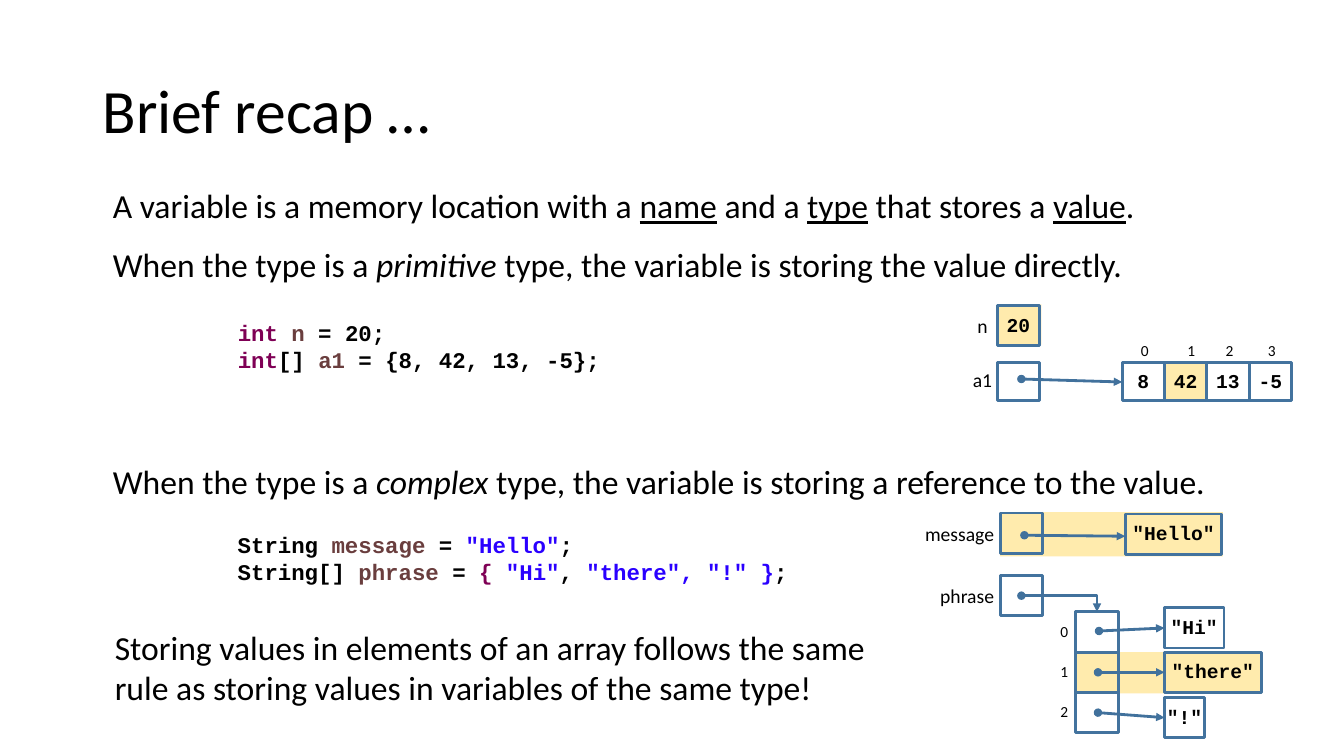
import pptx
import pptx.dml.color
import pptx.enum.shapes
import pptx.enum.text
import pptx.oxml
import pptx.oxml.ns
import pptx.util
from pptx.util import Inches

BLACK = "000000"
KEYWORD = "7F0055"
VARIABLE = "6A3E3E"
STRING = "2A00FF"
HIGHLIGHT = "FFE699"
OUTLINE = "43739E"
ARROW = "41719C"
CODE_FONT = "Courier New"
LEFT = pptx.enum.text.PP_ALIGN.LEFT
CENTER = pptx.enum.text.PP_ALIGN.CENTER
RIGHT = pptx.enum.text.PP_ALIGN.RIGHT
hex_color = pptx.dml.color.RGBColor.from_string

presentation = pptx.Presentation()
presentation.slide_width = Inches(13.33)
presentation.slide_height = Inches(7.5)
slide = presentation.slides.add_slide(presentation.slide_layouts[5])


def add_text(text, left, top, width, height, shape=None, size=24, font="Calibri",
             bold=False, align=LEFT, margin=None, wrap=True):
    """Write text, a string or a list of paragraphs made of (text, style) runs."""
    if shape is None:
        shape = slide.shapes.add_textbox(0, 0, 0, 0)
    shape.left, shape.top = Inches(left), Inches(top)
    shape.width, shape.height = Inches(width), Inches(height)
    frame = shape.text_frame
    frame.word_wrap = wrap
    if margin is not None:
        frame.margin_left = frame.margin_right = Inches(margin)
        frame.margin_top = frame.margin_bottom = Inches(margin)
    paragraphs = [[(text, {})]] if isinstance(text, str) else text
    for index, runs in enumerate(paragraphs):
        paragraph = frame.add_paragraph() if index else frame.paragraphs[0]
        paragraph.alignment = align
        for run_text, style in runs:
            run = paragraph.add_run()
            run.text = run_text
            run.font.size = pptx.util.Pt(size)
            run.font.name = font
            run.font.bold = bold
            run.font.italic = style.get("italic")
            run.font.underline = style.get("underline")
            run.font.color.rgb = hex_color(style.get("color", BLACK))
    return shape


def add_box(left, top, width, height, fill=None, line=None):
    box = slide.shapes.add_shape(pptx.enum.shapes.MSO_SHAPE.RECTANGLE, Inches(left),
                                 Inches(top), Inches(width), Inches(height))
    box.shadow.inherit = False
    if fill:
        box.fill.solid()
        box.fill.fore_color.rgb = hex_color(fill)
        color = box.fill._xPr.find(".//" + pptx.oxml.ns.qn("a:srgbClr"))
        color.append(pptx.oxml.parse_xml(
            f'<a:alpha {pptx.oxml.ns.nsdecls("a")} val="80000"/>'))
    else:
        box.fill.background()
    if line:
        box.line.color.rgb = hex_color(line)
        box.line.width = pptx.util.Pt(2)
    else:
        box.line.fill.background()


# Highlights lie behind everything else
for highlight in [(10.66, 6.47, 1.86, 0.41), (9.91, 3.02, 0.42, 0.4),
                  (11.56, 3.6, 0.42, 0.37), (9.92, 5.08, 2.21, 0.44)]:
    add_box(*highlight, fill=HIGHLIGHT)

# Title and sentences
title = add_text("Brief recap …", 0.92, 0.4, 11.5, 1.45, shape=slide.shapes.title, size=44)
title.text_frame.vertical_anchor = pptx.enum.text.MSO_ANCHOR.MIDDLE
title.text_frame.paragraphs[0].line_spacing = 0.9

underlined = {"underline": True}
italic = {"italic": True}
add_text([[("A variable is a memory location with a ", {}), ("name", underlined),
           (" and a ", {}), ("type", underlined), (" that stores a ", {}),
           ("value", underlined), (".", {})]], 1.02, 1.79, 11.59, 0.5)
for top, kind, ending in [
        (2.37, "primitive", " type, the variable is storing the value directly."),
        (4.52, "complex", " type, the variable is storing a reference to the value.")]:
    add_text([[("When the type is a ", {}), (kind, italic), (ending, {})]],
             1.02, top, 11.59, 0.5)
add_text("Storing values in elements of an array follows the same rule as storing "
         "values in variables of the same type!", 1.04, 6.17, 7.88, 0.91)

# Code
keyword, variable, string = ({"color": color} for color in (KEYWORD, VARIABLE, STRING))
primitive_code = [
    [("int ", keyword), ("n", variable), (" = 20;", {})],
    [("int", keyword), ("[] ", {}), ("a1", variable), (" = {8, 42, 13, -5};", {})],
]
complex_code = [
    [("String ", {}), ("message", variable), (" = ", {}), ('"Hello"', string), (";", {})],
    [("String[] ", {}), ("phrase", variable), (" = ", {}), ("{ ", keyword),
     ('"Hi"', string), (", ", {}), ('"there", "!" }', string), (";", {})],
]
add_text(primitive_code, 2.26, 3.12, 4.78, 0.64, size=16, font=CODE_FONT, bold=True)
add_text(complex_code, 2.26, 5.22, 6.2, 0.64, size=16, font=CODE_FONT, bold=True)

# Memory cells with their values; cells without a value hold a reference
cells = [
    (9.89, 3.03, 0.42, 0.4, "20"),
    (9.89, 3.6, 0.42, 0.37, ""),
    (9.92, 5.09, 0.42, 0.4, ""),
    (9.92, 5.71, 0.42, 0.4, ""),
    (11.16, 5.1, 0.96, 0.4, '"Hello"'),
    (11.55, 6.03, 0.59, 0.4, '"Hi"'),
    (11.55, 6.47, 0.96, 0.4, '"there"'),
    (11.55, 6.92, 0.4, 0.4, '"!"'),
]
cells += [(11.13 + 0.42 * index, 3.6, 0.42, 0.37, value)
          for index, value in enumerate(["8", "42", "13", "-5"])]
cells += [(10.67, 6.07 + 0.4 * index, 0.42, 0.4, "") for index in range(3)]
for left, top, width, height, value in cells:
    add_box(left, top, width, height, line=OUTLINE)
    if value:
        value_width = 0.117 * len(value)
        add_text(value, left + (width - value_width) / 2, top + (height - 0.24) / 2 - 0.01,
                 value_width, 0.24, size=14, font=CODE_FONT, bold=True, margin=0, wrap=False)

# Variable names and array indexes
for name, left, top, width, align in [
        ("n", 9.61, 3.11, 0.27, CENTER), ("a1", 9.61, 3.65, 0.27, CENTER),
        ("message", 8.98, 5.18, 0.88, RIGHT), ("phrase", 8.98, 5.79, 0.88, RIGHT)]:
    add_text(name, left, top, width, 0.24, size=14, align=align, margin=0)
index_places = [(index, left, 3.38) for index, left in enumerate([11.27, 11.73, 12.11, 12.53])]
index_places += [(index, 10.47, 6.17 + 0.4 * index) for index in range(3)]
for index, left, top in index_places:
    add_text(str(index), left, top, 0.17, 0.19, size=11, align=CENTER, margin=0)

# Reference arrows
STRAIGHT = pptx.enum.shapes.MSO_CONNECTOR.STRAIGHT
ELBOW = pptx.enum.shapes.MSO_CONNECTOR.ELBOW
for kind, *ends in [
        (STRAIGHT, 10.13, 3.76, 11.13, 3.79),
        (STRAIGHT, 10.16, 5.31, 11.16, 5.32),
        (ELBOW, 10.13, 5.91, 10.88, 6.07),
        (STRAIGHT, 10.9, 6.26, 11.55, 6.23),
        (STRAIGHT, 10.89, 6.67, 11.55, 6.67),
        (STRAIGHT, 10.89, 7.07, 11.55, 7.12)]:
    arrow = slide.shapes.add_connector(kind, *map(Inches, ends))
    arrow.line.color.rgb = hex_color(ARROW)
    arrow.line.width = pptx.util.Pt(2)
    properties = arrow._element.spPr
    if kind == ELBOW:
        properties.find(pptx.oxml.ns.qn("a:prstGeom")).set("prst", "bentConnector2")
    line = properties.find(pptx.oxml.ns.qn("a:ln"))
    for tag, end_type in [("headEnd", "oval"), ("tailEnd", "triangle")]:
        line.append(pptx.oxml.parse_xml(
            f'<a:{tag} {pptx.oxml.ns.nsdecls("a")} type="{end_type}"/>'))
    properties.append(pptx.oxml.parse_xml(f'<a:effectLst {pptx.oxml.ns.nsdecls("a")}/>'))

presentation.save("out.pptx")
